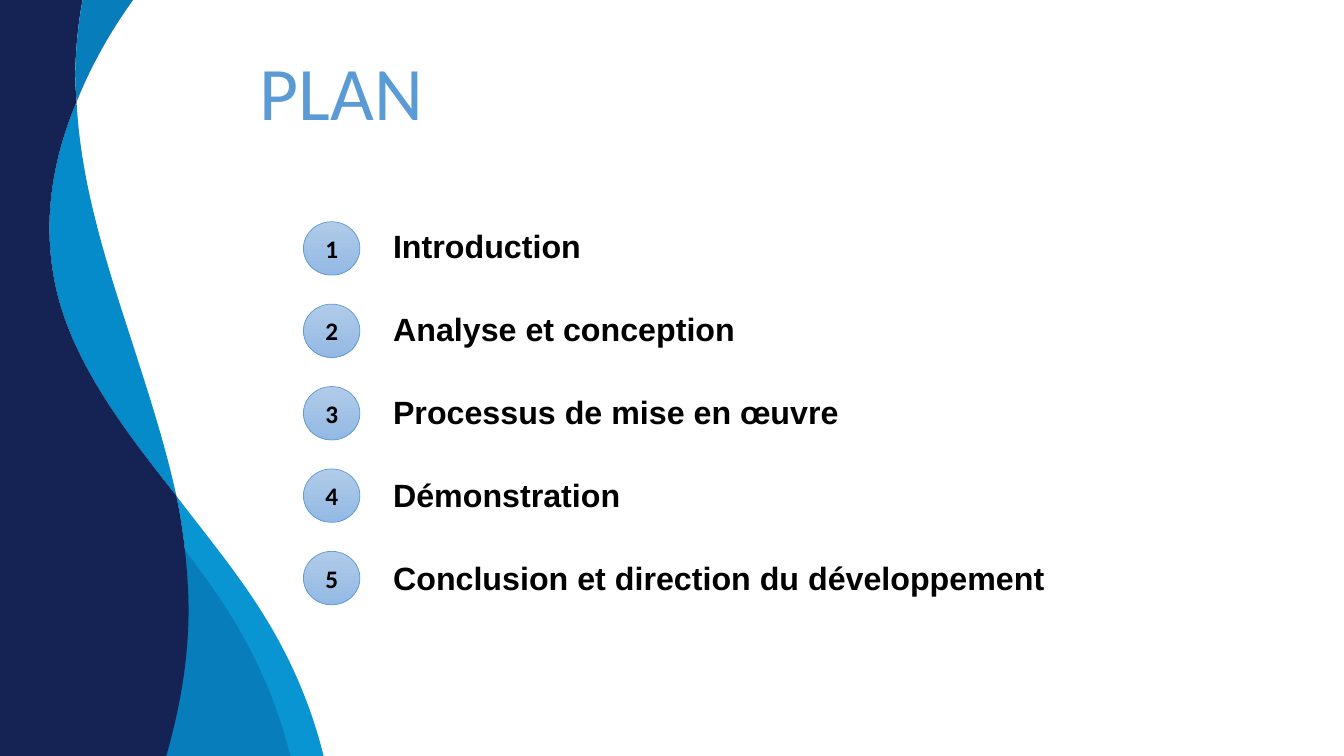
from lxml.etree import SubElement
from pptx import Presentation
from pptx.dml.color import RGBColor
from pptx.enum.shapes import MSO_SHAPE
from pptx.enum.text import MSO_ANCHOR, MSO_AUTO_SIZE, PP_ALIGN
from pptx.oxml.ns import qn
from pptx.util import Inches, Pt

W, H = 13.33, 7.5

# Wave edges in inches: a start point, then three points per Bezier curve
TOP = [(.82, 0), (.78, .2), (.76, .41), (.75, .61), (.74, .75), (.75, .88), (.76, 1.01)]
CREST = [(.76, 1.01), (.9, .66), (1.09, .32), (1.32, 0)]
LEFT = [(.76, 1.01), (.49, 1.65), (.41, 2.31), (.58, 2.96),
        (.77, 3.66), (1.25, 4.29), (1.75, 4.92)]
RIGHT = [(1.75, 4.92), (1.63, 4.37), (1.45, 3.83), (1.28, 3.3),
         (1.04, 2.56), (.8, 1.8), (.76, 1.01)]
BASE = [(1.75, 4.92), (1.82, 5.26), (1.86, 5.61), (1.87, 5.97),
        (1.88, 6.5), (1.79, 7.01), (1.65, 7.5)]
TAIL = [(3.21, 7.5), (3.1, 7.05), (2.92, 6.61), (2.67, 6.19),
        (2.41, 5.75), (2.07, 5.34), (1.75, 4.92)]

# Agenda entries with the width of their text box
AGENDA = [
    ("Introduction", 2.08),
    ("Analyse et conception", 3.62),
    ("Processus de mise en œuvre", 4.66),
    ("Démonstration", 2.56),
    ("Conclusion et direction du développement", 6.71),
]


def color(hex_value):
    return RGBColor.from_string(hex_value)


def write(tf, text, align=PP_ALIGN.LEFT, fill="000000", **font):
    p = tf.paragraphs[0]
    p.alignment = align
    r = p.add_run()
    r.text = text
    for name, value in font.items():
        setattr(r.font, name, value)
    r.font.color.rgb = color(fill)


def add_text(s, box, text, wrap, **style):
    tf = s.shapes.add_textbox(*map(Inches, box)).text_frame
    tf.word_wrap = wrap
    tf.auto_size = MSO_AUTO_SIZE.SHAPE_TO_FIT_TEXT
    write(tf, text, **style)


def add_band(group, x, y, edges, fill):
    """Draw one closed shape whose edges are chains of Bezier curves."""
    points, curves = [], []
    for edge in edges:
        if not points or points[-1] != edge[0]:
            points.append(edge[0])
        curves += range(len(points), len(points) + len(edge) - 1, 3)
        points += edge[1:]
    places = [(Inches(x + px), Inches(y + py)) for px, py in points]
    builder = group.shapes.build_freeform(*places[0])
    builder.add_line_segments(places[1:], close=True)
    sp = builder.convert_to_shape()
    # Each three segments of a curve become one cubic Bezier
    segments = list(sp.element.iter(qn("a:lnTo")))
    for first in curves:
        trio = segments[first - 1:first + 2]
        outline = trio[0].getparent()
        bezier = SubElement(outline, qn("a:cubicBezTo"))
        trio[0].addprevious(bezier)
        for segment in trio:
            bezier.append(segment[0])
            outline.remove(segment)
    sp.shadow.inherit = False
    sp.fill.solid()
    sp.fill.fore_color.rgb = color(fill)
    sp.line.fill.background()


def add_waves(s, x, y, height):
    group = s.shapes.add_group_shape()
    border = [(-.03, height), (-.09, height - .01), (-.09, .01), (-.03, 0)]
    bands = [
        (0, [LEFT, RIGHT], "058ACA"),
        (0, [BASE, TAIL], "0994D2"),
        (-.33, [BASE, TAIL], "077EBB"),
        (0, [TOP, LEFT, BASE, *[[corner] for corner in border]], "142354"),
        (0, [TOP, CREST], "077EBB"),
    ]
    for shift, edges, fill in bands:
        add_band(group, x + shift, y, edges, fill)


def add_badge(s, box, number):
    sp = s.shapes.add_shape(MSO_SHAPE.OVAL, *map(Inches, box))
    sp.shadow.inherit = False
    sp.fill.gradient()
    sp.fill.gradient_angle = 270
    for stop, fill, position in zip(sp.fill.gradient_stops, ("B1CBE9", "93B9E4"), (0, 1)):
        stop.color.rgb = color(fill)
        stop.position = position
    sp.line.color.rgb = color("5B9BD5")
    sp.line.width = Pt(0.5)
    tf = sp.text_frame
    tf.vertical_anchor = MSO_ANCHOR.MIDDLE
    write(tf, str(number), PP_ALIGN.CENTER, name="Calibri", size=Pt(18), bold=True)


def add_agenda(s, x, y, badge_span, label_span):
    """Spread badges and labels evenly from the first row to the last."""
    for i, (label, width) in enumerate(AGENDA):
        share = i / (len(AGENDA) - 1)
        add_badge(s, (x, y + share * badge_span, .56, .53), i + 1)
        add_text(s, (x + .79, y + share * label_span, width, .49), label, False,
                 name="Arial", size=Pt(23), bold=True)


def main():
    prs = Presentation()
    prs.slide_width, prs.slide_height = Inches(W), Inches(H)
    s = prs.slides.add_slide(prs.slide_layouts[6])
    # Decoration
    add_waves(s, 0, 0, H)
    # Title
    add_text(s, (1.94, .4, 2.89, 1.01), "PLAN", True, align=PP_ALIGN.CENTER,
             fill="5B9BD5", name="Calibri", size=Pt(54))
    # Numbered agenda
    add_agenda(s, 3.01, 2.2, 3.27, 3.29)
    prs.save("out.pptx")


if __name__ == "__main__":
    main()
